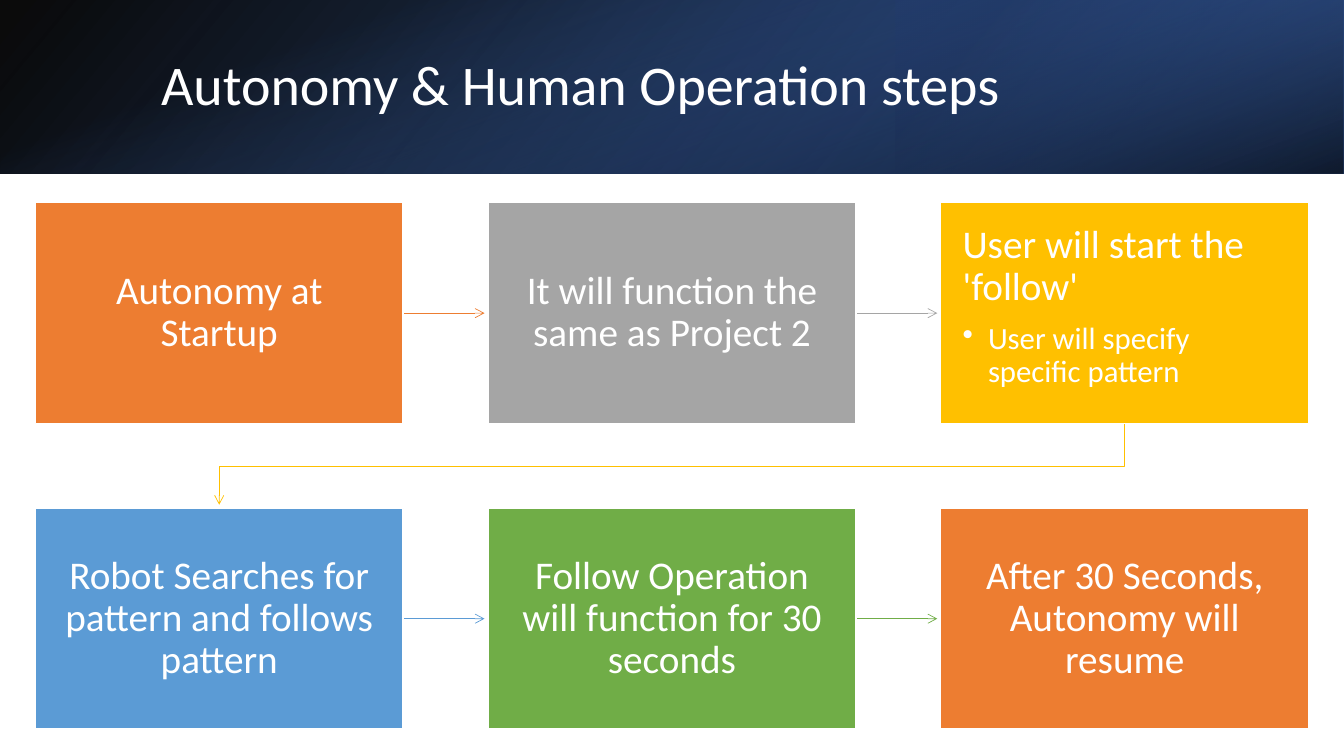
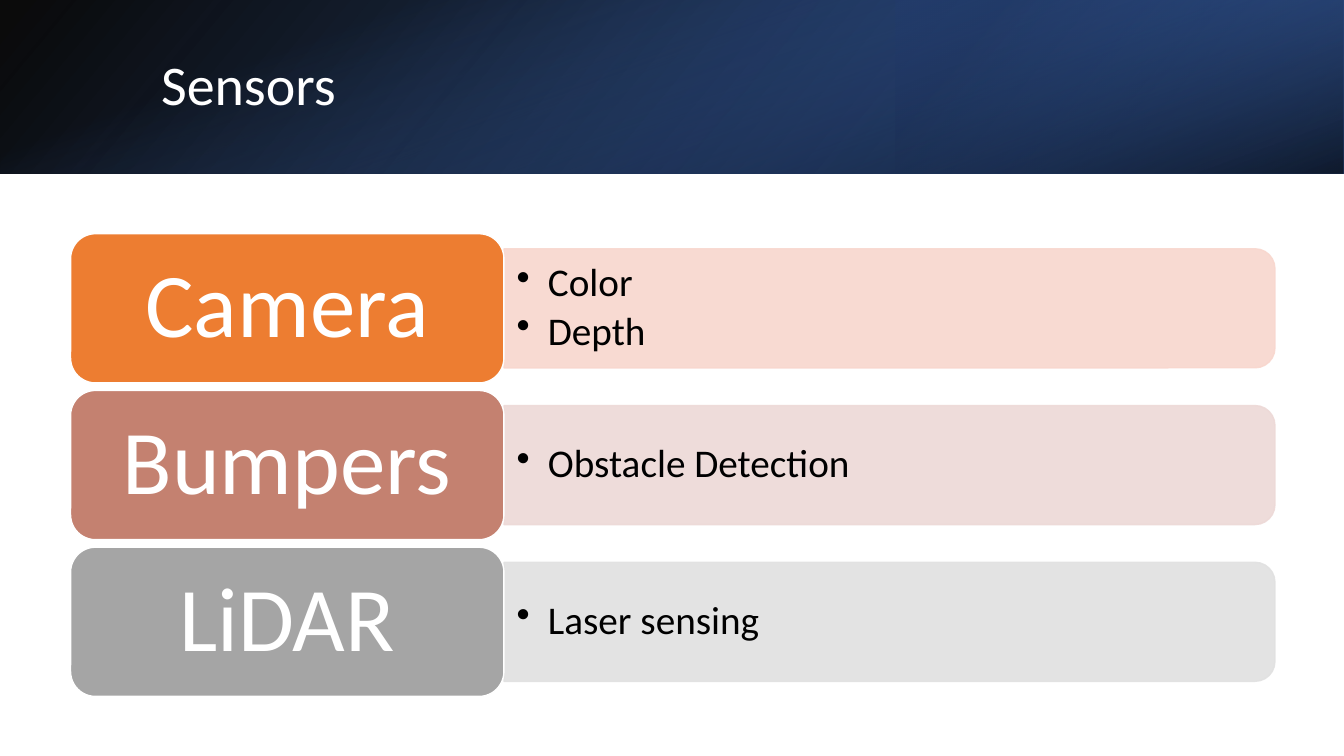
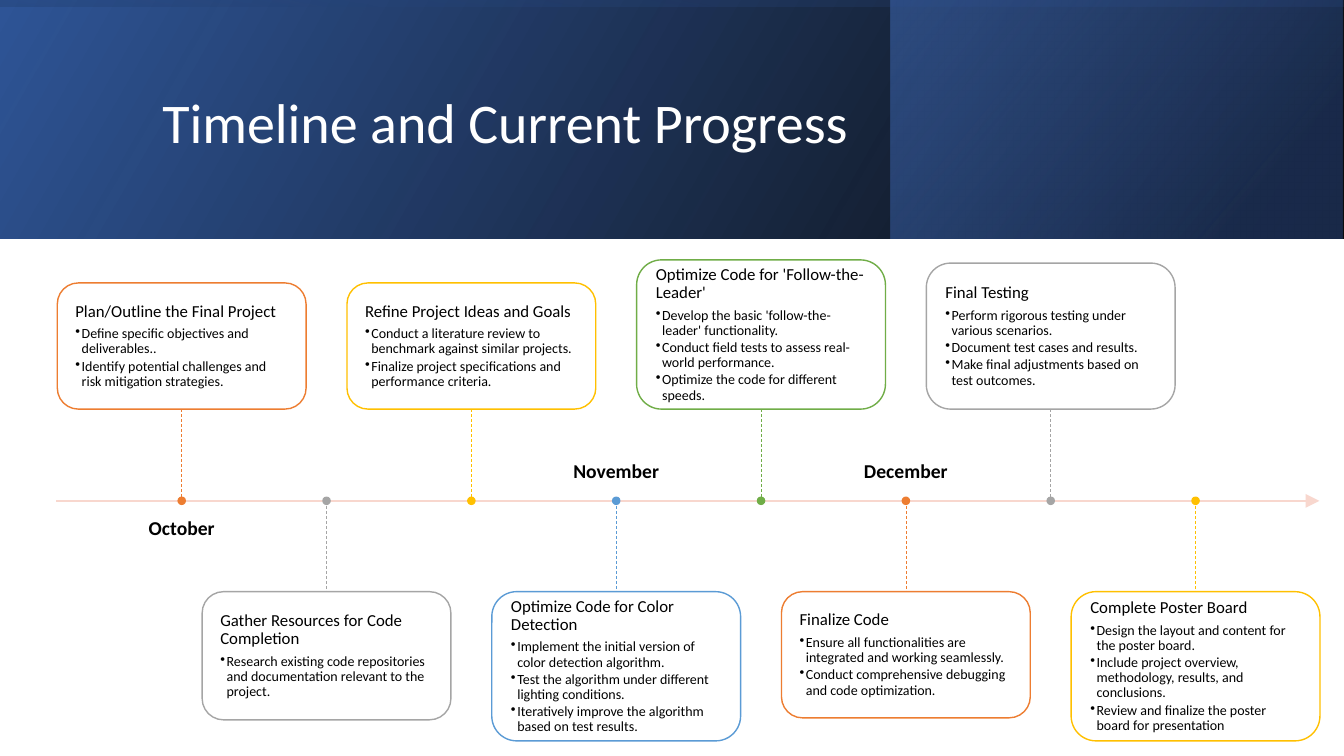
from lxml.etree import SubElement
from pptx import Presentation
from pptx.dml.color import RGBColor
from pptx.enum.dml import MSO_LINE
from pptx.enum.shapes import MSO_CONNECTOR, MSO_SHAPE
from pptx.enum.text import MSO_ANCHOR, MSO_AUTO_SIZE, PP_ALIGN
from pptx.oxml.ns import qn
from pptx.util import Cm, Pt

# Shared colours, font and slide size (cm)
BLACK = RGBColor(0x00, 0x00, 0x00)
WHITE = RGBColor(0xFF, 0xFF, 0xFF)
NAVY = RGBColor(0x20, 0x38, 0x64)
DEEP = RGBColor(0x2F, 0x55, 0x97)
ROYAL = RGBColor(0x44, 0x72, 0xC4)
ORANGE = RGBColor(0xED, 0x7D, 0x31)
GRAY = RGBColor(0xA5, 0xA5, 0xA5)
GOLD = RGBColor(0xFF, 0xC0, 0x00)
BLUE = RGBColor(0x5B, 0x9B, 0xD5)
GREEN = RGBColor(0x70, 0xAD, 0x47)
BRICK = RGBColor(0xC4, 0x81, 0x70)
PEACH = RGBColor(0xF8, 0xD7, 0xCE)
ROSE = RGBColor(0xED, 0xD9, 0xD7)
SILVER = RGBColor(0xE1, 0xE1, 0xE1)
FONT = "Calibri"
WIDE, HIGH = 33.87, 19.05

# Header bands: left, width, turn, flip, stops (place, colour, opacity), angle
SLIM = 4.37, [
    (0, WIDE, 0, True, [(0, BLACK, 96), (1, DEEP, 100)], 140),
    (22.58, 11.29, 180, True, [(0.19, NAVY, 68), (1, ROYAL, 79)], 320),
    (0, WIDE, 90, False, [(0.23, ROYAL, 0), (0.99, BLACK, 74)], 340),
]
TALL = 6.02, [
    (0, WIDE, 0, True, [(0, BLACK, 96), (1, DEEP, 100)], 330),
    (22.45, 11.38, 0, True, [(0.19, NAVY, 68), (1, ROYAL, 48)], 320),
    (0, WIDE, 270, True, [(0.23, DEEP, 16), (0.99, BLACK, 45)], 350),
]

# Slide content
STEPS = [
    (ORANGE, "Autonomy at Startup", []),
    (GRAY, "It will function the same as Project 2", []),
    (GOLD, "User will start the 'follow'", ["User will specify specific pattern"]),
    (BLUE, "Robot Searches for pattern and follows pattern", []),
    (GREEN, "Follow Operation will function for 30 seconds", []),
    (ORANGE, "After 30 Seconds, Autonomy will resume", []),
]
SENSORS = [
    ("Camera", ORANGE, PEACH, ["Color", "Depth"]),
    ("Bumpers", BRICK, ROSE, ["Obstacle Detection"]),
    ("LiDAR", GRAY, SILVER, ["Laser sensing"]),
]
TASKS = [
    (ORANGE, 3.18, "Plan/Outline the Final Project", [
        "Define specific objectives and deliverables..",
        "Identify potential challenges and risk mitigation strategies."]),
    (GRAY, 3.23, "Gather Resources for Code Completion", [
        "Research existing code repositories and documentation relevant "
        "to the project."]),
    (GOLD, 3.18, "Refine Project Ideas and Goals", [
        "Conduct a literature review to benchmark against similar projects.",
        "Finalize project specifications and performance criteria."]),
    (BLUE, 3.76, "Optimize Code for Color Detection", [
        "Implement the initial version of color detection algorithm.",
        "Test the algorithm under different lighting conditions.",
        "Iteratively improve the algorithm based on test results."]),
    (GREEN, 3.76, "Optimize Code for 'Follow-the-Leader'", [
        "Develop the basic 'follow-the-leader' functionality.",
        "Conduct field tests to assess real-world performance.",
        "Optimize the code for different speeds."]),
    (ORANGE, 3.18, "Finalize Code", [
        "Ensure all functionalities are integrated and working seamlessly.",
        "Conduct comprehensive debugging and code optimization."]),
    (GRAY, 3.68, "Final Testing", [
        "Perform rigorous testing under various scenarios.",
        "Document test cases and results.",
        "Make final adjustments based on test outcomes."]),
    (GOLD, 3.76, "Complete Poster Board", [
        "Design the layout and content for the poster board.",
        "Include project overview, methodology, results, and conclusions.",
        "Review and finalize the poster board for presentation"]),
]
# Month, dot it belongs to, top, anchor
MONTHS = [
    ("October", 0, 13.06, MSO_ANCHOR.TOP),
    ("November", 3, 10.8, MSO_ANCHOR.BOTTOM),
    ("December", 5, 10.8, MSO_ANCHOR.BOTTOM),
]


# Kinds of element
def block(slide, kind, box, fill=None, line=None, turn=0):
    """Add a shape that covers box once it has been turned."""
    left, top, width, height = box
    if turn % 180:
        left, top = left + (width - height) / 2, top + (height - width) / 2
        width, height = height, width
    shape = slide.shapes.add_shape(
        kind, Cm(left), Cm(top), Cm(width), Cm(height))
    shape.rotation = turn
    shape.shadow.inherit = False
    if fill is not None:
        shape.fill.solid()
        shape.fill.fore_color.rgb = fill
    if line is None:
        shape.line.fill.background()
    else:
        shape.line.color.rgb = line
        shape.line.width = Pt(1)
    return shape


def fade(shape, levels):
    """Set the opacity, in percent, of each colour in the shape."""
    colors = list(shape.element.spPr.iter(qn("a:srgbClr")))
    for color, level in zip(colors, levels):
        SubElement(color, qn("a:alpha")).set("val", str(level * 1000))


def frame(shape, inset=(0, 0), anchor=MSO_ANCHOR.MIDDLE):
    text = shape.text_frame
    text.word_wrap = True
    text.auto_size = MSO_AUTO_SIZE.NONE
    text.vertical_anchor = anchor
    text.margin_left = text.margin_right = Cm(inset[0])
    text.margin_top = text.margin_bottom = Cm(inset[1])
    return text


def label(slide, box, inset=(0, 0), anchor=MSO_ANCHOR.MIDDLE):
    area = slide.shapes.add_textbox(*map(Cm, box))
    return frame(area, inset, anchor)


def write(text, words, size, color, align=PP_ALIGN.LEFT, indent=0, bold=False):
    """Add a paragraph; an indent makes it a bullet."""
    first = text.paragraphs[0]
    para = first if not first.runs else text.add_paragraph()
    para.add_run().text = words
    para.alignment = align
    para.line_spacing = 0.9
    para.space_after = Pt(round(size * (0.15 if indent else 0.35), 1))
    if indent:
        para.level = 1
        props = para._p.get_or_add_pPr()
        props.set("marL", str(Cm(indent)))
        props.set("indent", str(-Cm(indent)))
        SubElement(props, qn("a:buChar")).set("char", "•")
    font = para.font
    font.name, font.size, font.bold = FONT, Pt(size), bold
    font.color.rgb = color


def tip(shape, kind, size="med"):
    end = SubElement(shape.element.spPr.find(qn("a:ln")), qn("a:tailEnd"))
    end.set("type", kind)
    end.set("w", size)
    end.set("len", size)


def rule(slide, start, end, color, width=0.5, dash=None):
    line = slide.shapes.add_connector(
        MSO_CONNECTOR.STRAIGHT, *map(Cm, (*start, *end)))
    line.line.color.rgb = color
    line.line.width = Pt(width)
    if dash:
        line.line.dash_style = dash
    SubElement(line.element.spPr, qn("a:effectLst"))
    return line


def bend(slide, points, color):
    """Add an open line through the points, with an arrowhead."""
    spots = [(Cm(x), Cm(y)) for x, y in points]
    maker = slide.shapes.build_freeform(*spots[0])
    maker.add_line_segments(spots[1:], close=False)
    line = maker.convert_to_shape()
    line.shadow.inherit = False
    line.fill.background()
    line.line.color.rgb = color
    line.line.width = Pt(0.5)
    tip(line, "arrow")


def start(deck, words, band, box):
    """Add a slide with its header band and title."""
    slide = deck.slides.add_slide(deck.slide_layouts[5])
    height, layers = band
    for left, width, turn, flip, stops, angle in layers:
        layer = block(slide, MSO_SHAPE.RECTANGLE, (left, 0, width, height),
                      turn=turn)
        if flip:
            layer.element.spPr.xfrm.set("flipH", "1")
        layer.fill.gradient()
        layer.fill.gradient_angle = 360 - angle
        for stop, (place, color, _) in zip(layer.fill.gradient_stops, stops):
            stop.position = place
            stop.color.rgb = color
        fade(layer, [level for _, _, level in stops])
    title = slide.shapes.title
    title.left, title.top, title.width, title.height = map(Cm, box)
    write(frame(title, (0.25, 0.13)), words, 40, WHITE)
    slide.shapes._spTree.append(title.element)  # bring to front
    return slide


# Slides
def flow(deck):
    slide = start(deck, "Autonomy & Human Operation steps", SLIM,
                  (3.81, 0.97, 27.89, 2.44))
    left, top, width, height = 0.89, 5.11, 9.27, 5.56
    across, down = 11.41, 7.7
    for i, (color, head, points) in enumerate(STEPS):
        row, col = divmod(i, 3)
        x, y = left + col * across, top + row * down
        if col < 2:
            mid = y + height / 2
            arrow = rule(slide, (x + width, mid), (x + across - 0.09, mid), color)
            tip(arrow, "arrow")
        elif row == 0:
            low, turn = y + height, y + (height + down) / 2
            far, near = x + width / 2, left + width / 2
            bend(slide, [(far, low), (far, turn), (near, turn),
                         (near, top + down - 0.09)], color)
        box = block(slide, MSO_SHAPE.RECTANGLE, (x, y, width, height),
                    color, WHITE)
        anchor = MSO_ANCHOR.TOP if points else MSO_ANCHOR.MIDDLE
        align = PP_ALIGN.LEFT if points else PP_ALIGN.CENTER
        text = frame(box, (0.55, 0.55), anchor)
        write(text, head, 28, WHITE, align)
        for point in points:
            write(text, point, 22, WHITE, indent=0.64)


def senses(deck):
    slide = start(deck, "Sensors", SLIM, (3.81, 0.97, 27.89, 2.44))
    left, width, height, inner = 1.78, 10.92, 3.76, 3
    for i, (name, color, pale, points) in enumerate(SENSORS):
        top = 5.89 + i * 3.95
        side = left + width, top + (height - inner) / 2, 19.43, inner
        panel = block(slide, MSO_SHAPE.ROUND_2_SAME_RECTANGLE, side,
                      pale, pale, turn=90)
        fade(panel, [90, 90])
        text = label(slide, side, (0.32, 0.16))
        for point in points:
            write(text, point, 28, BLACK, indent=0.79)
        tab = block(slide, MSO_SHAPE.ROUNDED_RECTANGLE,
                    (left, top, width, height), color, WHITE)
        write(frame(tab, (0.69, 0.35)), name, 65, WHITE, PP_ALIGN.CENTER)


def plan(deck):
    slide = start(deck, "Timeline and Current Progress", TALL,
                  (3.84, 0.97, 27, 4.37))
    first, step, axis = 4.58, 3.65, 12.62
    width, upper, lower, dot = 6.27, 10.31, 14.91, 0.18
    tip(rule(slide, (1.42, axis), (33.25, axis), PEACH, 1), "triangle", "lg")
    for i, (color, height, head, points) in enumerate(TASKS):
        x = first + i * step
        above = i % 2 == 0
        top = upper - height if above else lower
        card = block(slide, MSO_SHAPE.ROUNDED_RECTANGLE,
                     (x - width / 2, top, width, height), WHITE, color)
        text = frame(card, (0.3, 0.3))
        write(text, head, 12, BLACK)
        for point in points:
            write(text, point, 10, BLACK, indent=0.16)
        rule(slide, (x, upper if above else axis), (x, axis if above else lower),
             color, dash=MSO_LINE.DASH)
        block(slide, MSO_SHAPE.OVAL, (x - dot / 2, axis - dot / 2, dot, dot),
              color, color)
    for month, i, top, anchor in MONTHS:
        text = label(slide, (first + i * step - 2.77, top, 5.54, 1.37),
                     anchor=anchor)
        write(text, month, 14, BLACK, PP_ALIGN.CENTER, bold=True)


def main():
    deck = Presentation()
    deck.slide_width, deck.slide_height = Cm(WIDE), Cm(HIGH)
    flow(deck)
    senses(deck)
    plan(deck)
    deck.save("out.pptx")


if __name__ == "__main__":
    main()
